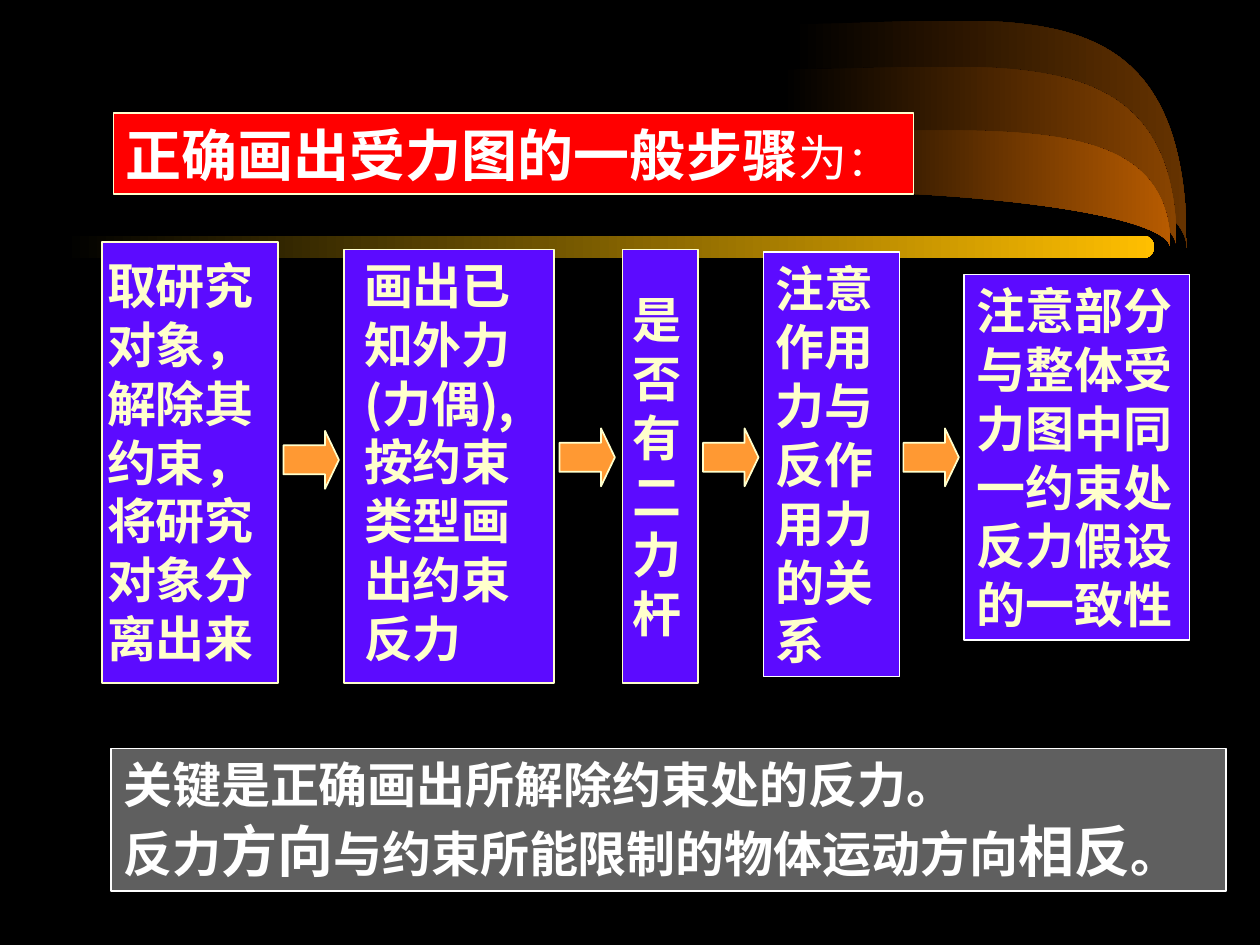
from lxml import etree
from pptx import Presentation
from pptx.dml.color import RGBColor
from pptx.enum.shapes import MSO_SHAPE as SHAPE
from pptx.enum.text import MSO_ANCHOR as ANCHOR, PP_ALIGN as ALIGN
from pptx.oxml.ns import qn
from pptx.util import Inches, Pt

FONT = "Noto Sans CJK SC"
CREAM, WHITE, VIOLET = "FFFFCC", "FFFFFF", "5C0BFF"
LINE_HEIGHT = 1.2  # line pitch as a multiple of the text size
UNITS = 1000  # freeform units per inch


def color(value):
    return RGBColor.from_string(value)


def fade(shape, end):
    """Fill from black on the left to the end colour, with no outline."""
    shape.shadow.inherit = False
    shape.line.fill.background()
    shape.fill.gradient()
    shape.fill.gradient_angle = 0
    for stop, (position, value) in zip(shape.fill.gradient_stops, [(0, "000000"), (1, end)]):
        stop.position = position
        stop.color.rgb = color(value)


def bend_segment(segment, points):
    """Turn a straight freeform segment into a cubic curve."""
    segment.tag = qn("a:cubicBezTo")
    for child in list(segment):
        segment.remove(child)
    for x, y in points:
        etree.SubElement(segment, qn("a:pt"), x=str(round(x * UNITS)), y=str(round(y * UNITS)))


def add_fan(page, left, top, tip_pull, low, low_pull, end):
    """Draw one curved blade whose tip lies at the lower right."""
    width, bend, base = 3.13, 1.73, 1.97
    corners = [(left, low), (left + width, base), (left, top), (left, base)]
    scaled = [(round(x * UNITS), round(y * UNITS)) for x, y in corners]
    builder = page.shapes.build_freeform(*scaled[0], scale=Inches(1) / UNITS)
    builder.add_line_segments(scaled[1:], close=True)
    blade = builder.convert_to_shape()
    lower, upper = list(blade._element.iter(qn("a:lnTo")))[:2]
    bend_segment(lower, [(bend, low - top), (width, low_pull - top), (width, base - top)])
    bend_segment(upper, [(width, tip_pull - top), (bend, 0), (0, 0)])
    fade(blade, end)


def add_backdrop(page):
    page.background.fill.solid()
    page.background.fill.fore_color.rgb = color("000000")
    add_fan(page, 6.29, 0.19, -0.2, 1.09, 1.48, "663300")
    add_fan(page, 6.21, 0.55, 0.24, 1.27, 1.58, "894400")
    add_fan(page, 6.16, 1.05, 0.84, 1.51, 1.72, "B75B00")
    bar = page.shapes.add_shape(SHAPE.ROUNDED_RECTANGLE, *map(Inches, (0.5, 1.87, 8.66, 0.18)))
    bar.adjustments[0] = 0.5
    fade(bar, "FFBF00")


def add_block(page, kind, box, fill, line):
    shape = page.shapes.add_shape(kind, *map(Inches, box))
    shape.shadow.inherit = False
    shape.fill.solid()
    shape.fill.fore_color.rgb = color(fill)
    shape.line.color.rgb = color(line)
    shape.line.width = Pt(1)
    return shape


def write(shape, paragraphs, text_color, insets=(0.1, 0.05, 0.1)):
    """Write paragraphs of (text, size, bold) spans; insets are left, top, right."""
    frame = shape.text_frame
    left, top, right = map(Inches, insets)
    layout = {"word_wrap": True, "vertical_anchor": ANCHOR.TOP, "margin_left": left,
              "margin_top": top, "margin_right": right, "margin_bottom": Inches(0.05)}
    for name, value in layout.items():
        setattr(frame, name, value)
    for i, spans in enumerate(paragraphs):
        para = frame.add_paragraph() if i else frame.paragraphs[0]
        para.alignment = ALIGN.LEFT
        para.line_spacing = Pt(LINE_HEIGHT * max(size for _, size, _ in spans))
        if i:
            para.space_before = Pt(1.8)
        for text, size, bold in spans:
            span = para.add_run()
            span.text = text
            for name, value in {"size": Pt(size), "bold": bold, "name": FONT}.items():
                setattr(span.font, name, value)
            span.font.color.rgb = color(text_color)
            east_asian = etree.SubElement(span.font._element, qn("a:ea"))
            east_asian.set("typeface", FONT)


def add_title(page, box):
    title = add_block(page, SHAPE.RECTANGLE, box, "FF0000", CREAM)
    spans = [("正确画出受力图的一般步骤", 32, True), ("为", 28, False), ("：", 24, False)]
    write(title, [spans], WHITE, (0.1, 0.06, 0.1))


def add_step(page, box, text, line, insets):
    panel = add_block(page, SHAPE.RECTANGLE, box, VIOLET, line)
    write(panel, [[(text, 28, True)]], CREAM, insets)


def add_steps(page):
    standard = (0.1, 0.05, 0.1)
    steps = [
        ((0.81, 1.92, 1.4, 3.5), "取研究对象，解除其约束，将研究对象分离出来", CREAM, (0.04, 0.11, 0.04)),
        ((2.73, 1.98, 1.67, 3.44), "画出已知外力(力偶),按约束类型画出约束反力", CREAM, (0.16, 0.05, 0.04)),
        ((4.94, 1.98, 0.6, 3.44), "是否有二力杆", CREAM, (0.08, 0.32, 0.03)),
        ((6.06, 2, 1.08, 3.37), "注意作用力与反作用力的关系", WHITE, standard),
        ((7.65, 2.18, 1.79, 2.9), "注意部分与整体受力图中同一约束处反力假设的一致性", WHITE, standard),
    ]
    for step in steps:
        add_step(page, *step)
    for left, top in [(2.25, 3.42), (4.44, 3.4), (5.58, 3.4), (7.17, 3.4)]:
        arrow = add_block(page, SHAPE.RIGHT_ARROW, (left, top, 0.44, 0.46), "FF9933", CREAM)
        arrow.adjustments[0] = 0.5
        arrow.adjustments[1] = 0.25


def add_conclusion(page, box):
    panel = add_block(page, SHAPE.RECTANGLE, box, "5F5F5F", WHITE)
    direction = [("反力", 28, True), ("方向", 32, True), ("与约束所能限制的物体运动方向", 28, True),
                 ("相反", 32, True), ("。", 28, True)]
    write(panel, [[("关键是正确画出所解除约束处的反力。", 28, True)], direction], WHITE)


def main():
    deck = Presentation()
    deck.slide_width, deck.slide_height = Inches(10), Inches(7.5)
    page = deck.slides.add_slide(deck.slide_layouts[6])
    add_backdrop(page)
    add_title(page, (0.9, 0.9, 6.35, 0.64))
    add_steps(page)
    add_conclusion(page, (0.88, 5.94, 8.85, 1.13))
    deck.save("out.pptx")


if __name__ == "__main__":
    main()
